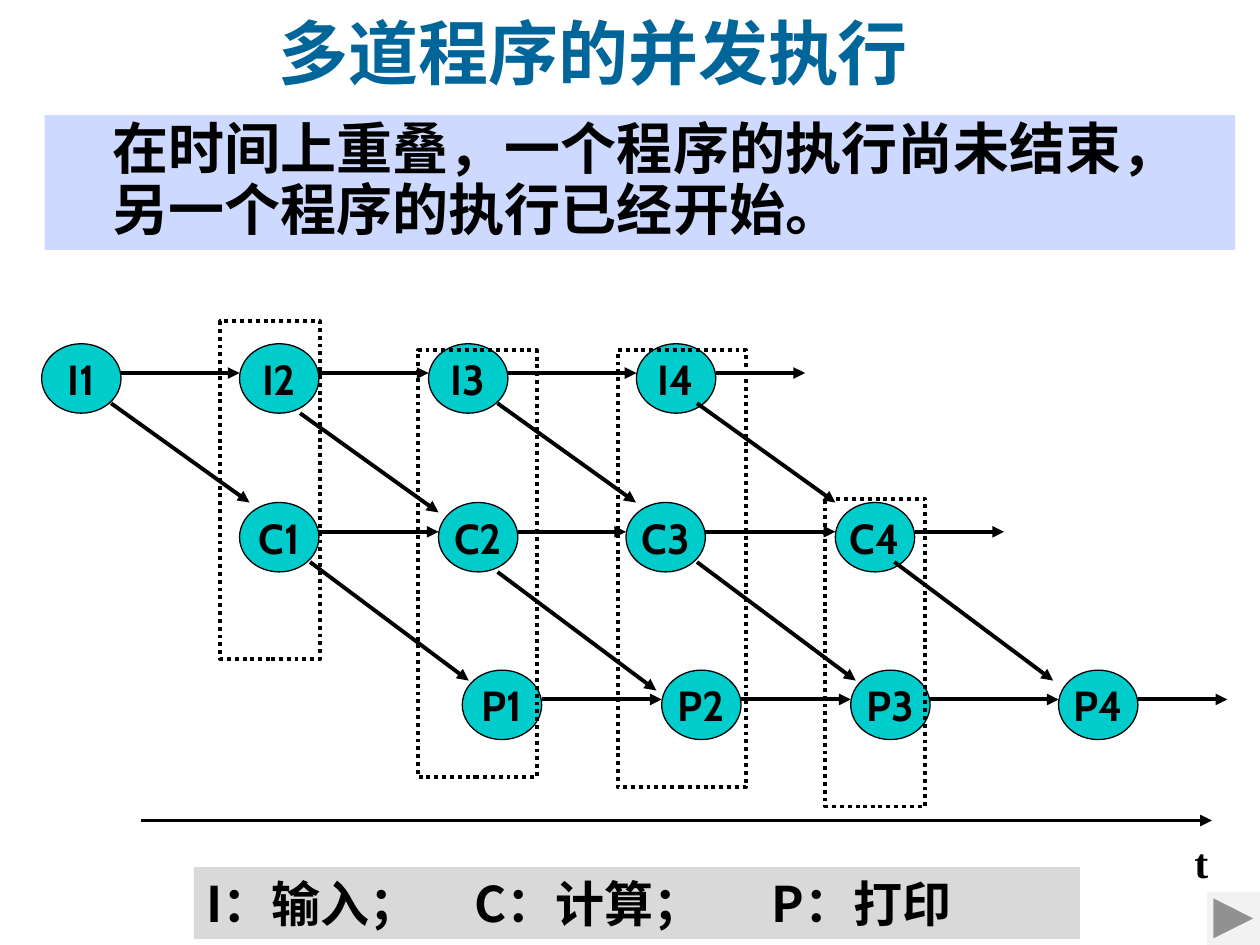
from dataclasses import dataclass

from pptx import Presentation
from pptx import util as u
from pptx.dml.color import RGBColor
from pptx.enum import dml, shapes, text
from pptx.oxml import ns, xmlchemy


@dataclass(frozen=True)
class Theme:
    title: str = "006699"
    ink: str = "000000"
    node: str = "00CCCC"
    summary: str = "CDD9FF"
    legend: str = "D9D9D9"
    button: str = "F2F2F2"
    serif: str = "Times New Roman"
    sans: str = "Cabin"
    cjk: str = "Noto Sans CJK SC"
    title_size: int = 40
    summary_size: int = 32
    legend_size: int = 28
    label_size: int = 24
    thin: float = 0.75
    thick: float = 2.25


T = Theme()
rgb = RGBColor.from_string


def add_run(p, words, size, font, color=T.ink):
    r = p.add_run()
    r.text = words
    r.font.size, r.font.name, r.font.bold = u.Pt(size), font, True
    r.font.color.rgb = rgb(color)
    ea = xmlchemy.OxmlElement("a:ea")
    ea.set("typeface", T.cjk)
    r.font._element.find(ns.qn("a:latin")).addnext(ea)


def add_arrow(x1, y1, x2, y2):
    c = s.shapes.add_connector(shapes.MSO_CONNECTOR.STRAIGHT,
                               u.Cm(x1), u.Cm(y1), u.Cm(x2), u.Cm(y2))
    c.line.color.rgb = rgb(T.ink)
    c.line.width = u.Pt(T.thick)
    tail = xmlchemy.OxmlElement("a:tailEnd")
    tail.set("type", "triangle")
    c.line._get_or_add_ln().append(tail)
    c._element.spPr.append(xmlchemy.OxmlElement("a:effectLst"))


prs = Presentation()
prs.slide_width, prs.slide_height = u.Cm(25.4), u.Cm(19.05)
s = prs.slides.add_slide(prs.slide_layouts[1])

# Title
sp = s.shapes.title
sp.left, sp.top, sp.width, sp.height = u.Cm(2.46), u.Cm(0.03), u.Cm(19), u.Cm(2)
tf = sp.text_frame
tf.auto_size = text.MSO_AUTO_SIZE.NONE
tf.vertical_anchor = text.MSO_ANCHOR.MIDDLE
p = tf.paragraphs[0]
p.alignment = text.PP_ALIGN.CENTER
add_run(p, "多道程序的并发执行", T.title_size, T.serif, T.title)

# Summary
sp = s.placeholders[1]
sp.left, sp.top, sp.width, sp.height = u.Cm(0.9), u.Cm(2.32), u.Cm(24), u.Cm(2.72)
sp.fill.solid()
sp.fill.fore_color.rgb = rgb(T.summary)
tf = sp.text_frame
tf.auto_size = text.MSO_AUTO_SIZE.NONE
tf.vertical_anchor = text.MSO_ANCHOR.TOP
p = tf.paragraphs[0]
p.level = 1
p.line_spacing = 0.9
p.space_before = u.Pt(6.4)
pPr = p._p.get_or_add_pPr()
pPr.set("marL", str(u.Cm(1.12)))
pPr.set("indent", "0")
pPr.append(xmlchemy.OxmlElement("a:buNone"))
add_run(p, "在时间上重叠，一个程序的执行尚未结束，另一个程序的执行已经开始。",
        T.summary_size, T.cjk)

# Stages: each row of nodes runs left to right, with an arrow after every node
node_w, node_h, exit_len = 1.6, 1.4, 1.8
stages = [
    ("I", 6.93, [0.84, 4.83, 8.64, 12.83]),
    ("C", 10.13, [4.83, 8.84, 12.62, 16.84]),
    ("P", 13.51, [9.32, 13.34, 17.15, 21.34]),
]
for name, top, lefts in stages:
    for n, left in enumerate(lefts, 1):
        sp = s.shapes.add_shape(shapes.MSO_SHAPE.OVAL, u.Cm(left), u.Cm(top),
                                u.Cm(node_w), u.Cm(node_h))
        sp.shadow.inherit = False
        sp.fill.solid()
        sp.fill.fore_color.rgb = rgb(T.node)
        sp.line.color.rgb = rgb(T.ink)
        sp.line.width = u.Pt(T.thin)
        tf = sp.text_frame
        tf.word_wrap = False
        tf.vertical_anchor = text.MSO_ANCHOR.MIDDLE
        p = tf.paragraphs[0]
        p.alignment = text.PP_ALIGN.CENTER
        add_run(p, f"{name}{n}", T.label_size, T.sans)
    starts = [left + node_w for left in lefts]
    for start, end in zip(starts, lefts[1:] + [starts[-1] + exit_len]):
        add_arrow(start, top + 0.59, end, top + 0.59)

# Each program passes down to its next stage; the second one starts lower
handoffs = [
    (8.13, 2.79, 2.0, [2.24, 6.05, 10.03, 14.05]),
    (11.33, 3.2, 2.39, [6.25, 10.03, 14.05, 18.03]),
]
for y, dx, dy, xs in handoffs:
    for i, x in enumerate(xs):
        y1 = y + 0.2 * (i == 1)
        add_arrow(x, y1, x + dx, y1 + dy)

# Time axis
add_arrow(2.84, 16.54, 24.43, 16.54)
sp = s.shapes.add_textbox(u.Cm(23.83), u.Cm(16.74), u.Cm(0.8), u.Cm(1.3))
tf = sp.text_frame
tf.word_wrap = False
add_run(tf.paragraphs[0], "t", T.label_size, T.serif)

# Dotted frames around steps that overlap in time
frames = [(4.44, 6.48, 2.01, 6.81), (8.43, 7.06, 2.39, 8.61),
          (12.45, 7.06, 2.59, 8.81), (16.64, 10.06, 2.01, 6.2)]
for box in frames:
    sp = s.shapes.add_shape(shapes.MSO_SHAPE.RECTANGLE, *map(u.Cm, box))
    sp.shadow.inherit = False
    sp.fill.background()
    sp.line.color.rgb = rgb(T.ink)
    sp.line.width = u.Pt(T.thick)
    sp.line.dash_style = dml.MSO_LINE.ROUND_DOT

# Next button
sp = s.shapes.add_shape(shapes.MSO_SHAPE.ACTION_BUTTON_FORWARD_OR_NEXT,
                        u.Cm(24.33), u.Cm(17.98), u.Cm(1.07), u.Cm(1.07))
sp.shadow.inherit = False
sp.fill.solid()
sp.fill.fore_color.rgb = rgb(T.button)
sp.line.fill.background()

# Legend, spaced with tab stops
sp = s.shapes.add_textbox(u.Cm(3.91), u.Cm(17.48), u.Cm(17.86), u.Cm(1.45))
sp.fill.solid()
sp.fill.fore_color.rgb = rgb(T.legend)
tf = sp.text_frame
tf.word_wrap = True
p = tf.paragraphs[0]
tabs = xmlchemy.OxmlElement("a:tabLst")
for pos in (5.4, 11.4):
    tab = xmlchemy.OxmlElement("a:tab")
    tab.set("pos", str(u.Cm(pos)))
    tab.set("algn", "l")
    tabs.append(tab)
p._p.get_or_add_pPr().append(tabs)
add_run(p, "I：输入；\tC：计算；\tP：打印", T.legend_size, T.cjk)

prs.save("out.pptx")
